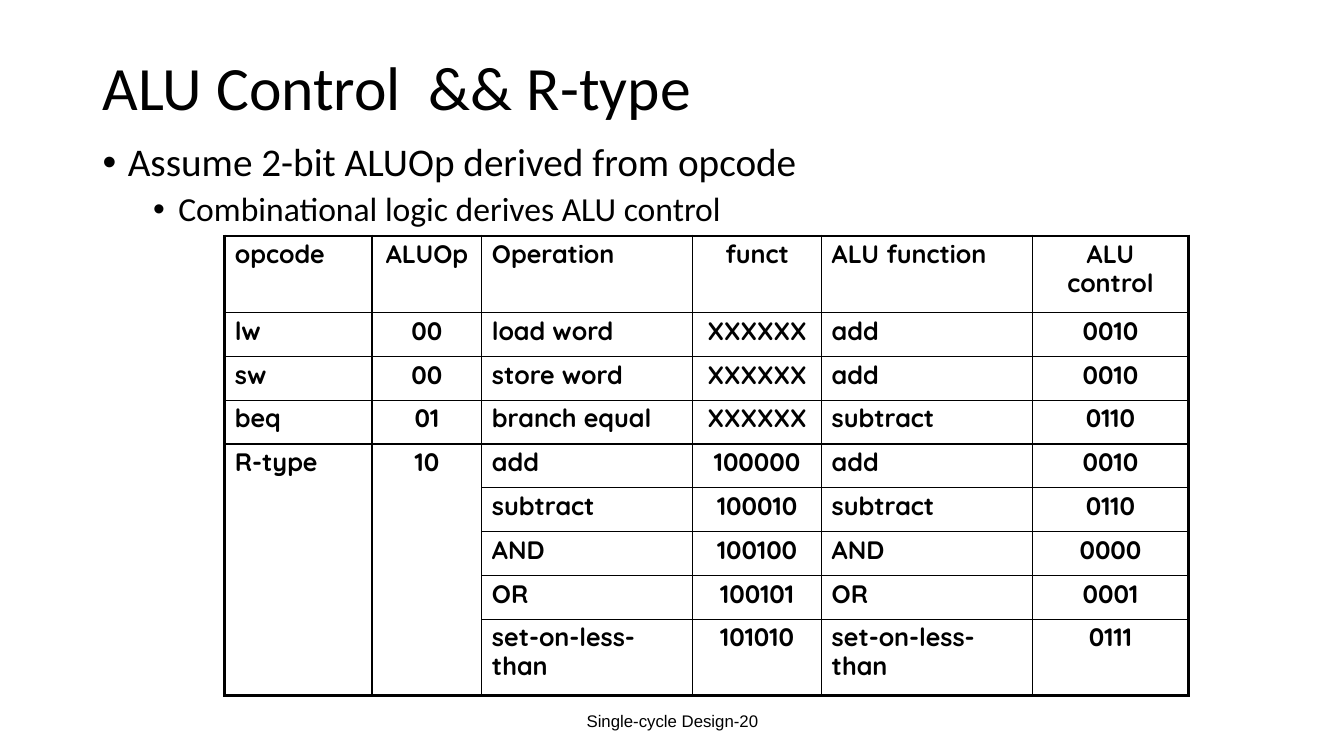
"""Build the ALU control slide with its opcode table."""
from lxml import etree
from pptx import Presentation, dml, util as u
from pptx.dml import color
from pptx.enum import text
from pptx.oxml import ns

INK = "000000"
TITLE = "ALU Control  && R-type"
BULLETS = [
    ("Assume 2-bit ALUOp derived from opcode", 28, 0.25, 10),
    ("Combinational logic derives ALU control", 24, 0.75, 5),
]
FOOTER = "Single-cycle Design-20"
ROWS = [
    ("opcode", "ALUOp", "Operation", "funct", "ALU function", "ALU control"),
    ("lw", "00", "load word", "XXXXXX", "add", "0010"),
    ("sw", "00", "store word", "XXXXXX", "add", "0010"),
    ("beq", "01", "branch equal", "XXXXXX", "subtract", "0110"),
    ("R-type", "10", "add", "100000", "add", "0010"),
    ("", "", "subtract", "100010", "subtract", "0110"),
    ("", "", "AND", "100100", "AND", "0000"),
    ("", "", "OR", "100101", "OR", "0001"),
    ("", "", "set-on-less-than", "101010", "set-on-less-than", "0111"),
]
COLUMN_WIDTHS = [1.46, 1.09, 2.09, 1.28, 2.09, 1.55]
ROW_HEIGHTS = [0.76] + [0.435] * 7 + [0.76]
R_TYPE_ROW = 4
MERGED_COLUMNS = (0, 1)
OUTER, HEADER, INNER = 2.25, 1.5, 1


def rgb(value):
    return color.RGBColor.from_string(value)


def write(paragraph, words, size, font="Calibri", bold=False, align="LEFT",
          spacing=0.9, before=0):
    paragraph.alignment = getattr(text.PP_ALIGN, align)
    paragraph.line_spacing = spacing
    paragraph.space_before = u.Pt(before)
    run = paragraph.add_run()
    run.text = words
    run.font.size = u.Pt(size)
    run.font.name = font
    run.font.bold = bold
    run.font.color.rgb = rgb(INK)


def add_box(slide, left, top, width, height, anchor):
    box = slide.shapes.add_textbox(*map(u.Inches, (left, top, width, height)))
    frame = box.text_frame
    frame.word_wrap = True
    frame.vertical_anchor = getattr(text.MSO_ANCHOR, anchor)
    return frame


def add_bullet(paragraph, indent):
    properties = paragraph._p.get_or_add_pPr()
    properties.set("marL", str(u.Inches(indent)))
    properties.set("indent", str(u.Inches(-0.25)))
    etree.SubElement(properties, ns.qn("a:buFont")).set("typeface", "Arial")
    etree.SubElement(properties, ns.qn("a:buChar")).set("char", "•")


def set_borders(cell, widths):
    properties = cell._tc.get_or_add_tcPr()
    for position, (side, width) in enumerate(widths.items()):
        line = etree.Element(ns.qn("a:ln" + side), w=str(u.Pt(width)))
        fill = etree.SubElement(line, ns.qn("a:solidFill"))
        etree.SubElement(fill, ns.qn("a:srgbClr")).set("val", INK)
        properties.insert(position, line)


def rule_width(index, count, after_header=INNER):
    if index in (0, count):
        return OUTER
    return after_header if index == 1 else INNER


def add_opcode_table(slide):
    row_count, column_count = len(ROWS), len(COLUMN_WIDTHS)
    table = slide.shapes.add_table(
        row_count, column_count, u.Inches(2.23), u.Inches(2.34),
        u.Inches(sum(COLUMN_WIDTHS)), u.Inches(sum(ROW_HEIGHTS))).table
    table.first_row = table.horz_banding = False
    for column, width in zip(table.columns, COLUMN_WIDTHS):
        column.width = u.Inches(width)
    for row, height in zip(table.rows, ROW_HEIGHTS):
        row.height = u.Inches(height)
    for index in MERGED_COLUMNS:
        table.cell(R_TYPE_ROW, index).merge(table.cell(row_count - 1, index))
    for r, row in enumerate(ROWS):
        for c, words in enumerate(row):
            cell = table.cell(r, c)
            cell.fill.background()
            widths = {"L": rule_width(c, column_count),
                      "R": rule_width(c + 1, column_count)}
            bottom = r + (cell.span_height if cell.is_merge_origin else 1)
            if not cell.is_spanned:
                widths["T"] = rule_width(r, row_count, HEADER)
            if not cell.is_spanned or bottom == row_count:
                widths["B"] = rule_width(bottom, row_count, HEADER)
            set_borders(cell, widths)
            if words:
                write(cell.text_frame.paragraphs[0], words, 18, "Quicksand",
                      bold=True, align="CENTER" if c % 2 else "LEFT", before=2.7)


def main():
    presentation = Presentation()
    presentation.slide_width = u.Inches(13.33)
    presentation.slide_height = u.Inches(7.5)
    slide = presentation.slides.add_slide(presentation.slide_layouts[6])

    footer = add_box(slide, 4.42, 6.95, 4.5, 0.4, "MIDDLE")
    write(footer.paragraphs[0], FOOTER, 12, "Arial", align="CENTER", spacing=1)

    title = add_box(slide, 0.92, 0.17, 11.5, 1.45, "MIDDLE")
    write(title.paragraphs[0], TITLE, 44)

    body = add_box(slide, 0.92, 1.37, 11.5, 4.76, "TOP")
    for index, (words, size, indent, before) in enumerate(BULLETS):
        paragraph = body.add_paragraph() if index else body.paragraphs[0]
        paragraph.level = index
        write(paragraph, words, size, before=before)
        add_bullet(paragraph, indent)

    add_opcode_table(slide)
    presentation.save("out.pptx")


if __name__ == "__main__":
    main()
